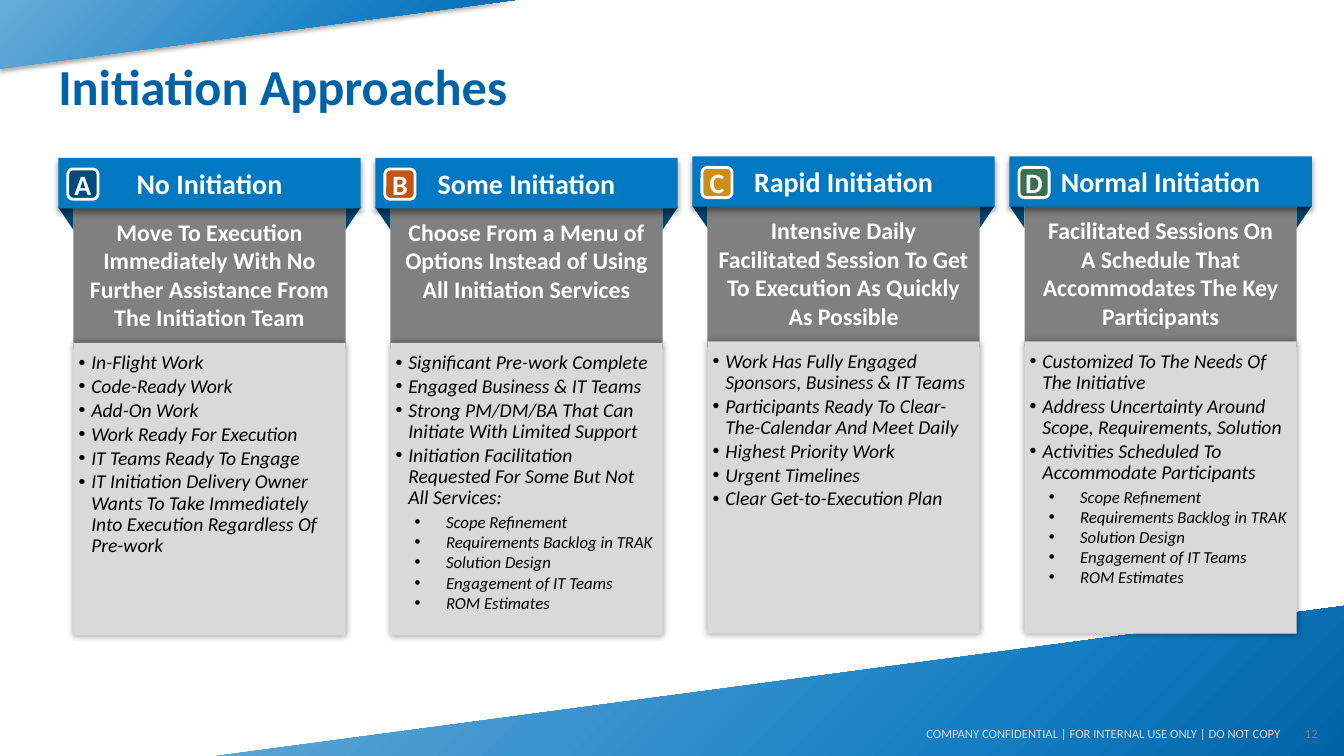
from dataclasses import dataclass
from typing import Optional

from pptx import Presentation
from pptx import oxml, util as u
from pptx.dml import color as dml
from pptx.enum import shapes, text as txt
from pptx.oxml import ns
from pptx.shapes import autoshape
from pptx.slide import Slide
from pptx.text import text as frames

Cm, Pt = u.Cm, u.Pt
RGB = dml.RGBColor
WHITE, BLACK = RGB(0xFF, 0xFF, 0xFF), RGB(0, 0, 0)
TITLE_BLUE, HEADER_BLUE = RGB(0x00, 0x63, 0xA7), RGB(0x00, 0x79, 0xC2)
FOLD_BLUE = RGB(0x00, 0x45, 0x70)
GREY, PALE_GREY = RGB(0x80, 0x80, 0x80), RGB(0xD9, 0xD9, 0xD9)
WEDGE_LIGHT, WEDGE_MIDDLE = RGB(0x66, 0xAC, 0xD8), RGB(0x14, 0x7E, 0xC2)

SLIDE_W, SLIDE_H = 33.87, 19.05
COLUMN_LEFT, COLUMN_PITCH = 1.47, 7.99
HEADER_W, HEADER_H = 7.62, 1.27
FOLD_W, FOLD_H = 0.38, 0.56
PANEL_W = HEADER_W - 2 * FOLD_W
PANEL_DROP, LIST_DROP = 1.25, 4.66
ALIGN, ANCHOR = txt.PP_ALIGN, txt.MSO_ANCHOR


@dataclass(frozen=True)
class Shadow:
    opacity: int
    blur: float
    distance: float = 0
    angle: int = 0


@dataclass(frozen=True)
class Bullet:
    left: float
    hanging: float


@dataclass(frozen=True)
class Approach:
    letter: str
    badge: dml.RGBColor
    top: float
    name: str
    summary: list[str]
    points: list[str]
    services: bool = False


WEDGE_SHADOW = Shadow(35, 3.1, 1.8, 90)
HEADER_SHADOW = Shadow(40, 4, 3, 90)
LIST_SHADOW = Shadow(40, 5)
POINT, SERVICE = Bullet(0.32, 0.32), Bullet(1.27, 0.79)
SERVICES = ["Scope Refinement", "Requirements Backlog in TRAK", "Solution Design",
            "Engagement of IT Teams", "ROM Estimates"]
APPROACHES = [
    Approach("A", RGB(0x00, 0x4A, 0x7D), 3.98, "No Initiation",
             ["Move To Execution Immediately With No Further Assistance From The Initiation Team"],
             ["In-Flight Work", "Code-Ready Work", "Add-On Work", "Work Ready For Execution",
              "IT Teams Ready To Engage",
              "IT Initiation Delivery Owner Wants To Take Immediately "
              "Into Execution Regardless Of Pre-work"]),
    Approach("B", RGB(0xC1, 0x55, 0x11), 3.98, "Some Initiation",
             ["Choose From a Menu of Options Instead of Using All Initiation Services"],
             ["Significant Pre-work Complete", "Engaged Business & IT Teams",
              "Strong PM/DM/BA That Can Initiate With Limited Support",
              "Initiation Facilitation Requested For Some But Not All Services:"], True),
    Approach("C", RGB(0xC9, 0x8F, 0x17), 3.94, "Rapid Initiation",
             ["Intensive Daily Facilitated Session To Get To Execution As Quickly As Possible"],
             ["Work Has Fully Engaged Sponsors, Business & IT Teams",
              "Participants Ready To Clear-The-Calendar And Meet Daily",
              "Highest Priority Work", "Urgent Timelines", "Clear Get-to-Execution Plan"]),
    Approach("D", RGB(0x39, 0x70, 0x4F), 3.94, "Normal Initiation",
             ["Facilitated Sessions On", "A Schedule That Accommodates The Key Participants"],
             ["Customized To The Needs Of The Initiative",
              "Address Uncertainty Around Scope, Requirements, Solution",
              "Activities Scheduled To Accommodate Participants"], True),
]


def write(frame: frames.TextFrame, lines: list[str], *, size: float, color: dml.RGBColor,
          align: ALIGN = ALIGN.LEFT, bold: bool = False, italic: bool = False,
          line_spacing: float = 1, after: float = 0, tracking: float = 0,
          bullet: Optional[Bullet] = None) -> None:
    for line in lines:
        paragraph = frame.paragraphs[0] if not frame.text else frame.add_paragraph()
        paragraph.alignment, paragraph.line_spacing = align, line_spacing
        paragraph.space_before, paragraph.space_after = Pt(0), Pt(after)
        if bullet:
            paragraph.level = 1
            properties = paragraph._p.get_or_add_pPr()
            properties.set("marL", str(Cm(bullet.left)))
            properties.set("indent", str(-Cm(bullet.hanging)))
            for mark in ('buFont typeface="Arial"', 'buChar char="•"'):
                properties.append(oxml.parse_xml(f'<a:{mark} {ns.nsdecls("a")}/>'))
        run = paragraph.add_run()
        run.text = line
        run.font.name, run.font.size = "Calibri", Pt(size)
        run.font.bold, run.font.italic = bold, italic
        run.font.color.rgb = color
        if tracking:
            run.font._element.set("spc", str(round(tracking * 100)))


def set_frame(frame: frames.TextFrame, anchor: ANCHOR = ANCHOR.MIDDLE,
              insets: tuple[float, float, float, float] = (0.25, 0.13, 0.25, 0.13)) -> None:
    """Insets run left, top, right, bottom in centimetres."""
    frame.word_wrap, frame.auto_size = True, txt.MSO_AUTO_SIZE.NONE
    frame.vertical_anchor = anchor
    (frame.margin_left, frame.margin_top,
     frame.margin_right, frame.margin_bottom) = map(Cm, insets)


def cast(shape: autoshape.Shape, shadow: Optional[Shadow]) -> None:
    """Replace the theme shadow with the given one, or with none."""
    shape.shadow.inherit = False
    if shadow:
        shape._element.spPr.find(ns.qn("a:effectLst")).append(oxml.parse_xml(
            f'<a:outerShdw {ns.nsdecls("a")} blurRad="{Pt(shadow.blur)}" '
            f'dist="{Pt(shadow.distance)}" dir="{shadow.angle * 60000}" rotWithShape="0">'
            f'<a:srgbClr val="000000"><a:alpha val="{shadow.opacity * 1000}"/></a:srgbClr>'
            '</a:outerShdw>'))


def add_block(slide: Slide, kind: shapes.MSO_SHAPE, left: float, top: float, width: float,
              height: float, fill: dml.RGBColor,
              shadow: Optional[Shadow] = None) -> autoshape.Shape:
    block = slide.shapes.add_shape(kind, Cm(left), Cm(top), Cm(width), Cm(height))
    block.fill.solid()
    block.fill.fore_color.rgb = fill
    block.line.fill.background()
    cast(block, shadow)
    return block


def add_wedge(slide: Slide, corners: list[tuple[float, float]], middle: int) -> None:
    start, *others = [(Cm(x), Cm(y)) for x, y in corners]
    builder = slide.shapes.build_freeform(*start)
    builder.add_line_segments(others, close=True)
    wedge = builder.convert_to_shape()
    stops = "".join(f'<a:gs pos="{position * 1000}"><a:srgbClr val="{shade}"/></a:gs>'
                    for position, shade in ((0, TITLE_BLUE), (middle, WEDGE_MIDDLE),
                                            (100, WEDGE_LIGHT)))
    wedge._element.spPr.insert(2, oxml.parse_xml(
        f'<a:gradFill {ns.nsdecls("a")} rotWithShape="1"><a:gsLst>{stops}</a:gsLst>'
        '<a:path path="circle"><a:fillToRect l="100000" t="100000"/></a:path></a:gradFill>'))
    wedge.line.fill.background()
    cast(wedge, WEDGE_SHADOW)


def add_note(slide: Slide, line: str, left: float, top: float, width: float, height: float,
             color: dml.RGBColor, side: float) -> None:
    note = slide.shapes.add_textbox(Cm(left), Cm(top), Cm(width), Cm(height))
    set_frame(note.text_frame, insets=(side, 0.13, side, 0.13))
    write(note.text_frame, [line], size=9, color=color, align=ALIGN.RIGHT)


def add_approach(slide: Slide, approach: Approach, left: float,
                 points: autoshape.Shape) -> None:
    kinds = shapes.MSO_SHAPE
    top, panel_left = approach.top, left + FOLD_W
    panel_top = top + PANEL_DROP

    summary = add_block(slide, kinds.RECTANGLE, panel_left, panel_top, PANEL_W, 3.56, GREY)
    set_frame(summary.text_frame, ANCHOR.TOP, (0.25, 0.25, 0.25, 0.13))
    write(summary.text_frame, approach.summary, size=17, color=WHITE, bold=True,
          align=ALIGN.CENTER)

    for fold_left, flips in ((panel_left + PANEL_W, ["flipV"]), (left, ["flipH", "flipV"])):
        fold = add_block(slide, kinds.RIGHT_TRIANGLE, fold_left, panel_top, FOLD_W, FOLD_H,
                         FOLD_BLUE)
        for flip in flips:
            fold._element.spPr.xfrm.set(flip, "1")

    header = add_block(slide, kinds.RECTANGLE, left, top, HEADER_W, HEADER_H, HEADER_BLUE,
                       HEADER_SHADOW)
    set_frame(header.text_frame)
    write(header.text_frame, [approach.name], size=20, color=WHITE, bold=True,
          align=ALIGN.CENTER)

    slide.shapes._spTree.append(points._element)
    points.left, points.top = Cm(panel_left), Cm(top + LIST_DROP)
    points.width, points.height = Cm(PANEL_W), Cm(7.37)
    points.fill.solid()
    points.fill.fore_color.rgb = PALE_GREY
    cast(points, LIST_SHADOW)
    set_frame(points.text_frame, ANCHOR.TOP, (0.13, 0.25, 0.13, 0.13))
    write(points.text_frame, approach.points, size=14, color=BLACK, italic=True,
          line_spacing=0.9, after=1.9, bullet=POINT)
    if approach.services:
        write(points.text_frame, SERVICES, size=12, color=BLACK, italic=True, bullet=SERVICE)

    badge = add_block(slide, kinds.ROUNDED_RECTANGLE, left + 0.24, top + 0.28, 0.76, 0.76,
                      approach.badge)
    badge.line.color.rgb, badge.line.width = WHITE, Pt(2)
    set_frame(badge.text_frame, insets=(0, 0, 0, 0))
    write(badge.text_frame, [approach.letter], size=20, color=WHITE, bold=True,
          align=ALIGN.CENTER, tracking=0.5)


def main() -> None:
    deck = Presentation()
    deck.slide_width, deck.slide_height = Cm(SLIDE_W), Cm(SLIDE_H)
    slide = deck.slides.add_slide(deck.slide_layouts.get_by_name("Comparison"))
    title, *lists = slide.placeholders

    add_wedge(slide, [(0, 1.8), (0, 0), (12.98, 0), (0, 1.73)], 33)
    add_wedge(slide, [(SLIDE_W, 15.27), (SLIDE_W, SLIDE_H), (5.46, SLIDE_H)], 30)
    add_note(slide, "12", 31.12, 17.98, 2.34, 1.02, GREY, 0.25)

    title.left, title.top, title.width, title.height = Cm(1.47), Cm(0.76), Cm(30.94), Cm(2.77)
    set_frame(title.text_frame, insets=(0, 0.13, 0.25, 0.13))
    write(title.text_frame, ["Initiation Approaches"], size=36, color=TITLE_BLUE, bold=True)
    add_note(slide, "COMPANY CONFIDENTIAL | FOR INTERNAL USE ONLY | DO NOT COPY",
             19.05, 18.29, 13.21, 0.41, PALE_GREY, 0)

    for column, (approach, points) in enumerate(zip(APPROACHES, lists)):
        add_approach(slide, approach, COLUMN_LEFT + column * COLUMN_PITCH, points)
    deck.save("out.pptx")


if __name__ == "__main__":
    main()
